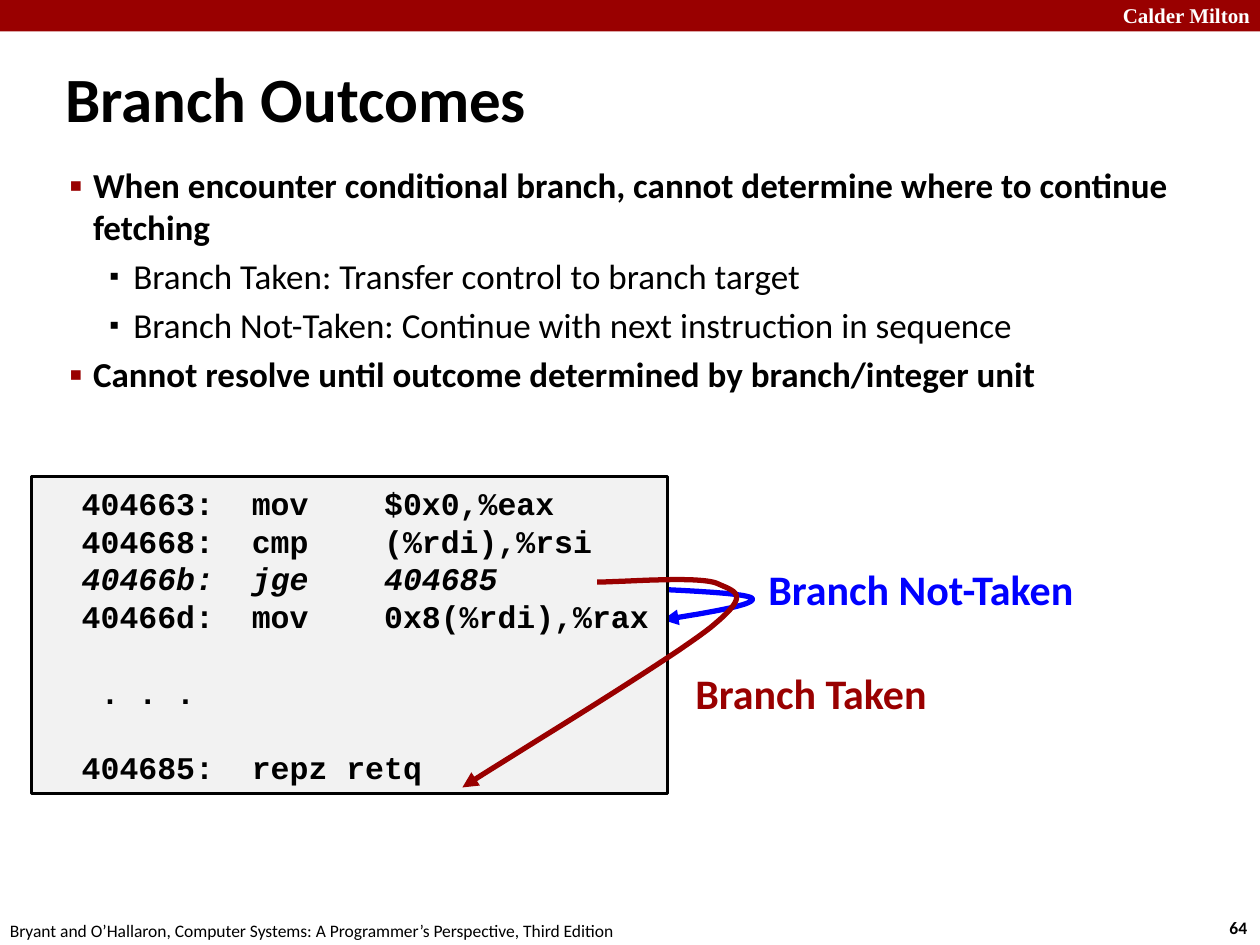
from lxml import etree
from pptx import Presentation
from pptx.dml.color import RGBColor
from pptx.enum.shapes import MSO_SHAPE
from pptx.enum.text import MSO_ANCHOR, PP_ALIGN
from pptx.oxml.ns import qn
from pptx.util import Inches, Pt

RECTANGLE = MSO_SHAPE.RECTANGLE
MIDDLE = MSO_ANCHOR.MIDDLE
LEFT = PP_ALIGN.LEFT
RIGHT = PP_ALIGN.RIGHT
BLACK = RGBColor(0x00, 0x00, 0x00)
WHITE = RGBColor(0xFF, 0xFF, 0xFF)
RED = RGBColor(0x99, 0x00, 0x00)
BLUE = RGBColor(0x00, 0x00, 0xFF)
CODE_FILL = RGBColor(0xF2, 0xF2, 0xF2)

CODE_PITCH = Pt(21.6)
CURVE_STEPS = 24

BULLETS = [
    (1, "When encounter conditional branch, cannot determine where to continue fetching"),
    (2, "Branch Taken: Transfer control to branch target"),
    (2, "Branch Not-Taken: Continue with next instruction in sequence"),
    (1, "Cannot resolve until outcome determined by branch/integer unit"),
]
BULLET_STYLES = {1: (0.31, 110, RED, True), 2: (0.63, 80, BLACK, False)}

CODE_LINES = [
    ("  404663:  mov    $0x0,%eax", False, 0),
    ("  404668:  cmp    (%rdi),%rsi", False, 0),
    ("  40466b:  jge    404685", True, 0),
    ("  40466d:  mov    0x8(%rdi),%rax", False, 0),
    ("   . . .", False, CODE_PITCH),
    ("  404685:  repz retq", False, CODE_PITCH),
]

NOT_TAKEN_CURVE = [
    (5.08, 4.67), (5.51, 4.69), (5.94, 4.71), (5.97, 4.75),
    (6, 4.8), (5.63, 4.86), (5.26, 4.92),
]
TAKEN_CURVE = [
    (3.67, 6.25), (3.99, 6.04), (5.3, 5.25), (5.64, 4.98),
    (5.97, 4.71), (5.84, 4.7), (5.69, 4.63),
    (5.54, 4.57), (4.94, 4.62), (4.74, 4.62),
]


def add_run(paragraph, text, size, color=BLACK, bold=False, italic=False, font="Calibri"):
    run = paragraph.add_run()
    run.text = text
    run.font.name = font
    run.font.size = Pt(size)
    run.font.color.rgb = color
    run.font.bold = bold
    run.font.italic = italic


def add_text_box(slide, left, top, width, height, wrap=False):
    box = slide.shapes.add_textbox(Inches(left), Inches(top), Inches(width), Inches(height))
    box.text_frame.word_wrap = wrap
    return box.text_frame


def add_label(slide, position, text, size, **style):
    frame = add_text_box(slide, *position)
    add_run(frame.paragraphs[0], text, size, **style)
    return frame


def add_rectangle(slide, left, top, width, height, fill):
    shape = slide.shapes.add_shape(
        RECTANGLE, Inches(left), Inches(top), Inches(width), Inches(height))
    shape.shadow.inherit = False
    shape.fill.solid()
    shape.fill.fore_color.rgb = fill
    shape.line.fill.background()
    return shape


def set_bullet(paragraph, level):
    margin, percent, color, _ = BULLET_STYLES[level]
    properties = paragraph._p.get_or_add_pPr()
    properties.set("marL", str(Inches(margin)))
    properties.set("indent", str(Inches(-0.19)))
    bullet_color = etree.SubElement(properties, qn("a:buClr"))
    etree.SubElement(bullet_color, qn("a:srgbClr"), val=str(color))
    etree.SubElement(properties, qn("a:buSzPct"), val=str(percent * 1000))
    etree.SubElement(properties, qn("a:buFont"), typeface="Arial")
    etree.SubElement(properties, qn("a:buChar"), char="▪")


def add_bullets(slide):
    frame = add_text_box(slide, 0.33, 1.25, 9.58, 2, wrap=True)
    for index, (level, text) in enumerate(BULLETS):
        paragraph = frame.add_paragraph() if index else frame.paragraphs[0]
        paragraph.level = level - 1
        paragraph.space_before = Pt(4)
        set_bullet(paragraph, level)
        add_run(paragraph, text, 20, bold=BULLET_STYLES[level][3])


def add_code_box(slide):
    box = add_rectangle(slide, 0.25, 3.78, 5.05, 2.52, CODE_FILL)
    box.line.color.rgb = BLACK
    box.line.width = Pt(1.5)
    frame = box.text_frame
    frame.word_wrap = False
    frame.vertical_anchor = MIDDLE
    for index, (text, italic, gap) in enumerate(CODE_LINES):
        paragraph = frame.add_paragraph() if index else frame.paragraphs[0]
        paragraph.alignment = LEFT
        paragraph.line_spacing = CODE_PITCH
        paragraph.space_before = gap
        add_run(paragraph, text, 18, bold=True, italic=italic, font="Courier New")


def bezier_point(controls, t):
    weights = ((1 - t) ** 3, 3 * t * (1 - t) ** 2, 3 * t ** 2 * (1 - t), t ** 3)
    return tuple(
        Inches(sum(weight * point[axis] for weight, point in zip(weights, controls)))
        for axis in (0, 1))


def add_curved_arrow(slide, controls, color, arrow_end):
    points = [
        bezier_point(controls[start:start + 4], step / CURVE_STEPS)
        for start in range(0, len(controls) - 1, 3)
        for step in range(1, CURVE_STEPS + 1)]
    builder = slide.shapes.build_freeform(Inches(controls[0][0]), Inches(controls[0][1]))
    builder.add_line_segments(points, close=False)
    curve = builder.convert_to_shape()
    curve.shadow.inherit = False
    curve.fill.background()
    curve.line.color.rgb = color
    curve.line.width = Pt(3)
    line = curve.line._get_or_add_ln()
    etree.SubElement(line, qn("a:round"))
    etree.SubElement(line, qn(arrow_end), type="triangle")


def add_page_furniture(slide):
    add_rectangle(slide, 0, 0, 10, 0.25, RED)
    header = add_label(slide, (8.02, -0.03, 2, 0.3), "Calder Milton", 12,
                       color=WHITE, bold=True, font="Times New Roman")
    header.word_wrap = True
    header.paragraphs[0].alignment = RIGHT
    add_label(slide, (9.66, 7.23, 0.37, 0.27), "64", 10, bold=True)
    add_label(
        slide, (-0.02, 7.25, 5.08, 0.27),
        "Bryant and O’Hallaron, Computer Systems: A Programmer’s Perspective, Third Edition", 10)


def main():
    presentation = Presentation()
    presentation.slide_width = Inches(10)
    presentation.slide_height = Inches(7.5)
    slide = presentation.slides.add_slide(presentation.slide_layouts[6])

    add_page_furniture(slide)
    title = add_label(slide, (0.42, 0.46, 6.49, 0.63), "Branch Outcomes", 36, bold=True)
    title.word_wrap = True
    title.vertical_anchor = MIDDLE
    add_bullets(slide)
    add_label(slide, (5.42, 5.25, 2.06, 0.5), "Branch Taken", 24, color=RED, bold=True)
    add_curved_arrow(slide, NOT_TAKEN_CURVE, BLUE, "a:tailEnd")
    add_label(slide, (6, 4.42, 2.72, 0.5), "Branch Not-Taken", 24, color=BLUE, bold=True)
    add_code_box(slide)
    add_curved_arrow(slide, TAKEN_CURVE, RED, "a:headEnd")
    presentation.save("out.pptx")


if __name__ == "__main__":
    main()
